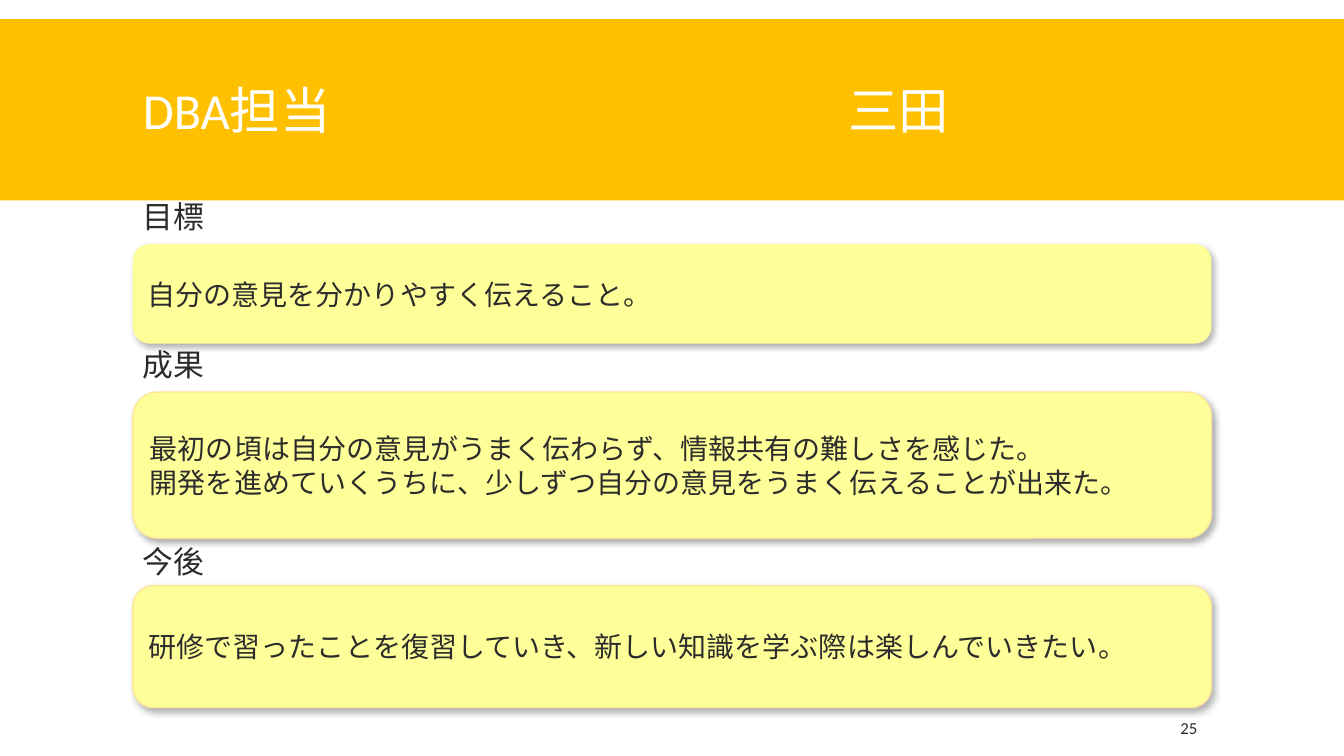
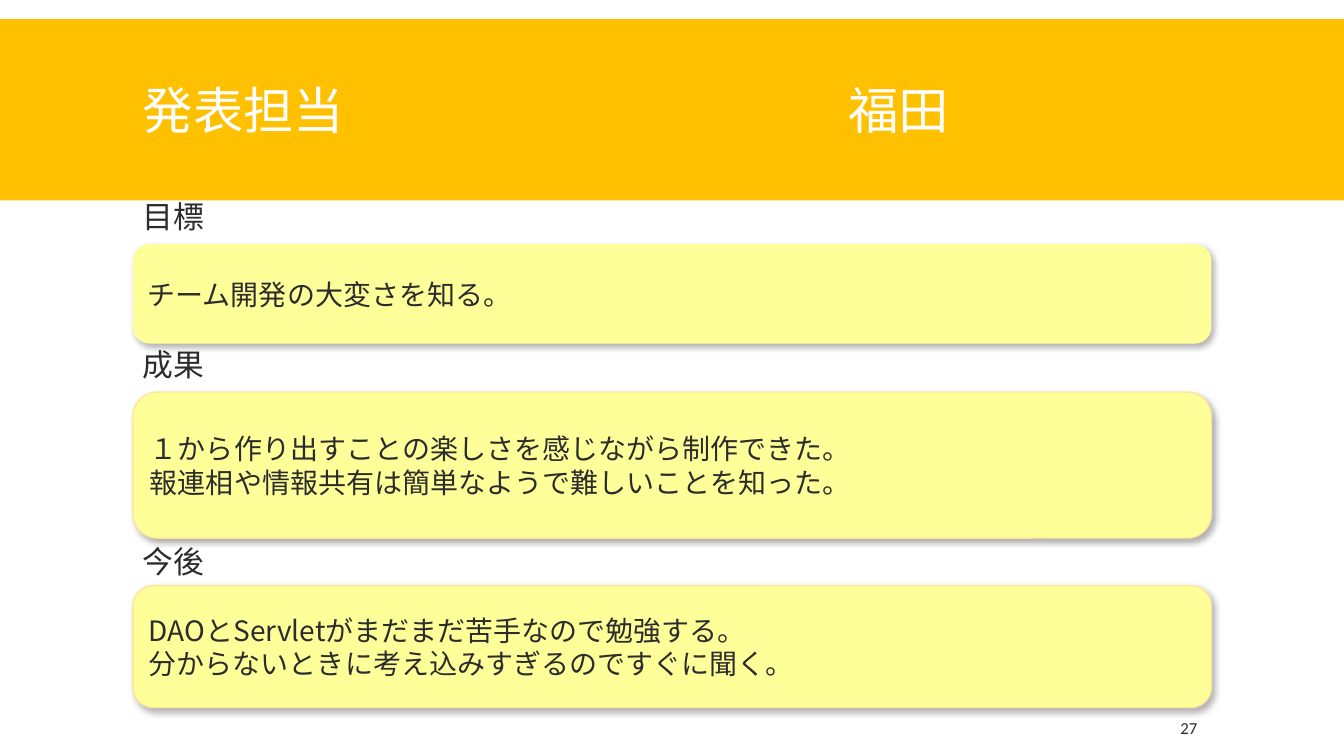
from lxml import etree
from pptx import Presentation
from pptx.dml.color import RGBColor
from pptx.enum.shapes import MSO_SHAPE
from pptx.enum.text import MSO_ANCHOR, PP_ALIGN
from pptx.oxml.ns import qn
from pptx.util import Cm, Pt

RECT, ROUND = MSO_SHAPE.RECTANGLE, MSO_SHAPE.ROUNDED_RECTANGLE
TOP, MIDDLE = MSO_ANCHOR.TOP, MSO_ANCHOR.MIDDLE
LEFT = PP_ALIGN.LEFT

COLORS = {"band": "FFC000", "title": "FFFFFF", "text": "2C2C2C",
          "box": "FFFF99", "edge": "FFE699", "shadow": "000000"}
LATIN, CJK = "Calibri", "Noto Sans CJK JP"

MARGIN, WIDTH = Cm(3.35), Cm(27.18)
NAME_TAB = Cm(17.78)

SECTIONS = [
    {"heading": "目標", "heading_top": 5.05, "top": 6.15, "height": 2.51, "edge": False},
    {"heading": "成果", "heading_top": 8.76, "top": 9.88, "height": 3.68, "edge": True},
    {"heading": "今後", "heading_top": 13.72, "top": 14.76, "height": 3.07, "edge": True},
]

MEMBERS = [
    {"role": "DBA担当", "name": "三田", "page": "25", "font": LATIN, "bodies": [
        "自分の意見を分かりやすく伝えること。",
        "最初の頃は自分の意見がうまく伝わらず、情報共有の難しさを感じた。\n"
        "開発を進めていくうちに、少しずつ自分の意見をうまく伝えることが出来た。",
        "研修で習ったことを復習していき、新しい知識を学ぶ際は楽しんでいきたい。",
    ]},
    {"role": "発表担当", "name": "福田", "page": "27", "font": CJK, "bodies": [
        "チーム開発の大変さを知る。",
        "１から作り出すことの楽しさを感じながら制作できた。\n"
        "報連相や情報共有は簡単なようで難しいことを知った。",
        "DAOとServletがまだまだ苦手なので勉強する。\n"
        "分からないときに考え込みすぎるのですぐに聞く。",
    ]},
]


def write(sp, text, size, font=LATIN, color="text", anchor=MIDDLE, spacing=None, tab=None):
    tf = sp.text_frame
    tf.word_wrap = True
    tf.vertical_anchor = anchor
    for i, line in enumerate(text.split("\n")):
        p = tf.add_paragraph() if i else tf.paragraphs[0]
        p.alignment = LEFT
        if spacing:
            p.line_spacing = spacing
        if tab:
            tabs = etree.SubElement(p._p.get_or_add_pPr(), qn("a:tabLst"))
            etree.SubElement(tabs, qn("a:tab"), pos=str(tab), algn="l")
        r = p.add_run()
        r.text = line
        r.font.size = Pt(size)
        r.font.name = font
        r.font.color.rgb = RGBColor.from_string(COLORS[color])
        etree.SubElement(r._r.get_or_add_rPr(), qn("a:ea"), typeface=CJK)
    return tf


def add_block(s, kind, left, top, width, height, fill, edge=None):
    sp = s.shapes.add_shape(kind, left, top, width, height)
    sp.fill.solid()
    sp.fill.fore_color.rgb = RGBColor.from_string(COLORS[fill])
    if edge:
        sp.line.color.rgb = RGBColor.from_string(COLORS[edge])
        sp.line.width = Pt(1)
    else:
        sp.line.fill.background()
    sp.shadow.inherit = False
    return sp


prs = Presentation()
prs.slide_width, prs.slide_height = Cm(33.87), Cm(19.05)

for member in MEMBERS:
    s = prs.slides.add_slide(prs.slide_layouts[6])
    font = member["font"]

    add_block(s, RECT, 0, Cm(0.48), prs.slide_width, Cm(4.57), "band")
    title = s.shapes.add_textbox(MARGIN, Cm(0.79), WIDTH, Cm(4.19))
    write(title, f"{member['role']}\t{member['name']}", 36, font=font, color="title",
          spacing=0.85, tab=NAME_TAB)

    for section, body in zip(SECTIONS, member["bodies"]):
        heading = s.shapes.add_textbox(MARGIN, Cm(section["heading_top"]), WIDTH, Cm(1.1))
        write(heading, section["heading"], 22, font=font, anchor=TOP, spacing=0.8)

        box = add_block(s, ROUND, MARGIN, Cm(section["top"]), WIDTH, Cm(section["height"]),
                        "box", edge="edge" if section["edge"] else None)
        effects = box._element.spPr.find(qn("a:effectLst"))
        shadow = etree.SubElement(effects, qn("a:outerShdw"), blurRad=str(Pt(4.5)),
                                  dist=str(Pt(2.6)), dir=str(53 * 60000), rotWithShape="0")
        shade = etree.SubElement(shadow, qn("a:srgbClr"), val=COLORS["shadow"])
        etree.SubElement(shade, qn("a:alpha"), val="30000")
        write(box, body, 20, font=font)

    number = s.shapes.add_textbox(Cm(29.62), Cm(17.83), Cm(2.62), Cm(1.02))
    tf = write(number, member["page"], 12)
    tf.margin_left = Cm(0.13)

prs.save("out.pptx")
